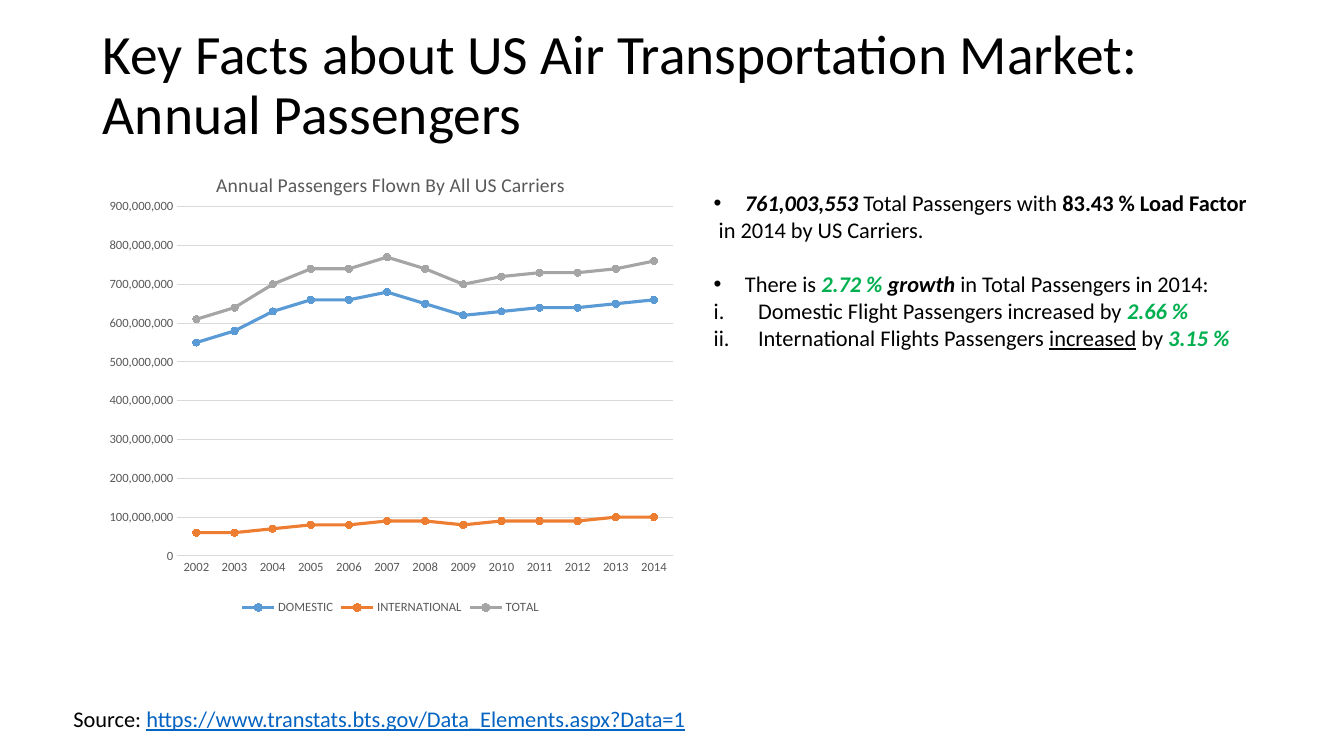
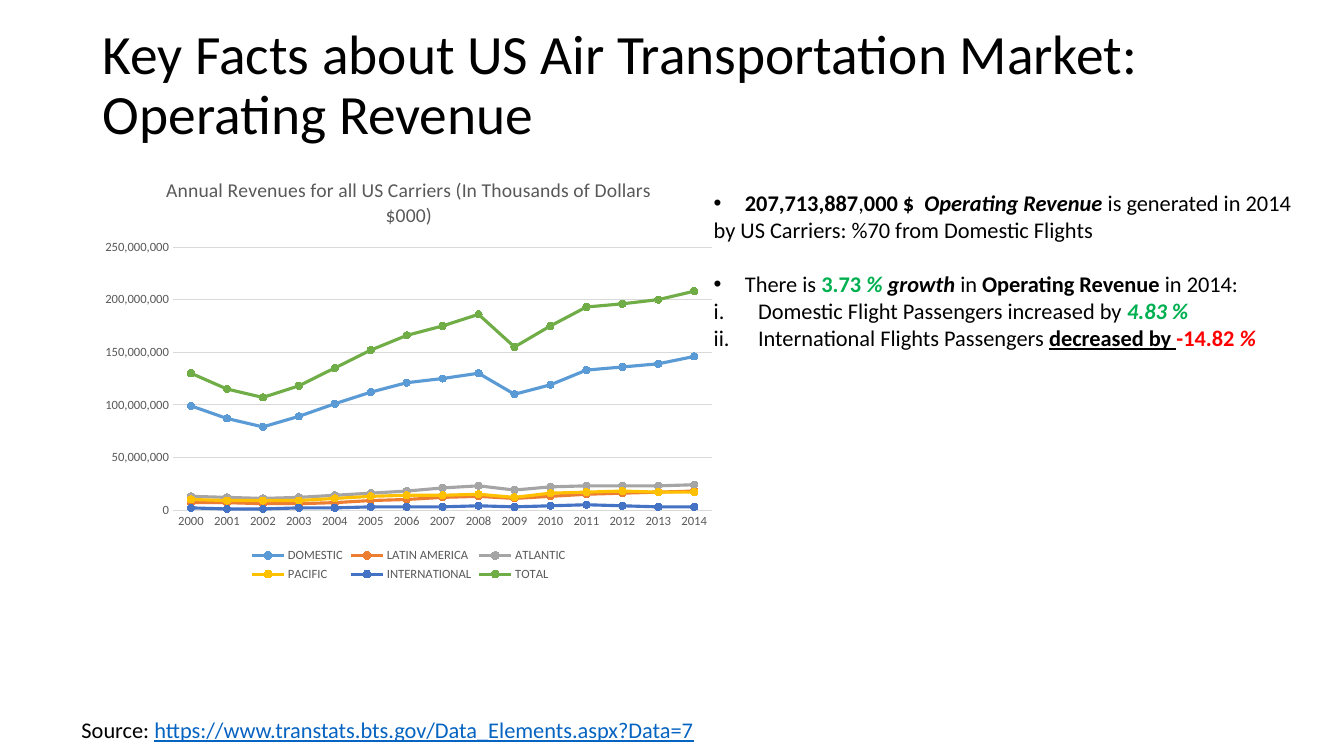
from dataclasses import dataclass

from lxml.etree import SubElement
from pptx import Presentation
from pptx.chart.data import CategoryChartData
from pptx.dml.color import RGBColor
from pptx.enum.chart import XL_CHART_TYPE, XL_LEGEND_POSITION, XL_MARKER_STYLE, XL_TICK_MARK
from pptx.enum.text import MSO_ANCHOR, MSO_AUTO_SIZE, PP_ALIGN
from pptx.oxml.ns import qn
from pptx.util import Inches, Pt

FONT = "Calibri"
BLACK = RGBColor(0x00, 0x00, 0x00)
CHART_TEXT = RGBColor(0x59, 0x59, 0x59)
GRID = RGBColor(0xD9, 0xD9, 0xD9)
LINK = RGBColor(0x05, 0x63, 0xC1)
GREEN = RGBColor(0x00, 0xB0, 0x50)
RED = RGBColor(0xFF, 0x00, 0x00)
SERIES_COLORS = {
    "DOMESTIC": RGBColor(0x5B, 0x9B, 0xD5),
    "INTERNATIONAL": RGBColor(0x44, 0x72, 0xC4),
    "LATIN AMERICA": RGBColor(0xED, 0x7D, 0x31),
    "ATLANTIC": RGBColor(0xA5, 0xA5, 0xA5),
    "PACIFIC": RGBColor(0xFF, 0xC0, 0x00),
    "TOTAL": RGBColor(0x70, 0xAD, 0x47),
}
PASSENGER_COLORS = {
    "DOMESTIC": SERIES_COLORS["DOMESTIC"],
    "INTERNATIONAL": SERIES_COLORS["LATIN AMERICA"],
    "TOTAL": SERIES_COLORS["ATLANTIC"],
}
MILLION = 1_000_000
BODY_SIZE = 16
BLANK_LINE = Pt(19.5)


@dataclass
class Run:
    text: str
    bold: bool = False
    italic: bool = False
    underline: bool = False
    color: RGBColor = BLACK


@dataclass
class Item:
    """A paragraph: marker is 'dot', 'roman' or empty; gap adds a line of space above."""
    runs: list
    marker: str = ""
    gap: bool = False


class Deck:
    def __init__(self):
        self.presentation = Presentation()
        self.presentation.slide_width = Inches(13.33)
        self.presentation.slide_height = Inches(7.5)
        self.slide = None

    def style_font(self, font, size, color):
        font.name = FONT
        font.size = Pt(size)
        font.color.rgb = color

    def add_runs(self, paragraph, runs):
        for item in runs:
            run = paragraph.add_run()
            run.text = item.text
            self.style_font(run.font, BODY_SIZE, item.color)
            run.font.bold = item.bold
            run.font.italic = item.italic
            run.font.underline = item.underline

    def add_slide(self, subject):
        self.slide = self.presentation.slides.add_slide(self.presentation.slide_layouts[5])
        title = self.slide.shapes.title
        title.left, title.top = Inches(0.92), Inches(0.4)
        title.width, title.height = Inches(11.5), Inches(0.91)
        frame = title.text_frame
        frame.auto_size = MSO_AUTO_SIZE.NONE
        frame.vertical_anchor = MSO_ANCHOR.MIDDLE
        paragraph = frame.paragraphs[0]
        paragraph.alignment = PP_ALIGN.LEFT
        paragraph.line_spacing = 0.9
        for text in ("Key Facts about US Air Transportation Market:", subject):
            if paragraph.runs:
                paragraph.add_line_break()
            run = paragraph.add_run()
            run.text = text
            self.style_font(run.font, 39.6, BLACK)

    def add_text_frame(self, left, top, width, height):
        box = self.slide.shapes.add_textbox(Inches(left), Inches(top), Inches(width), Inches(height))
        box.text_frame.word_wrap = True
        return box.text_frame

    def add_source(self, left, top, address):
        frame = self.add_text_frame(left, top, 6.35, 0.64)
        self.add_runs(frame.paragraphs[0],
                      [Run("Source: "), Run(address, underline=True, color=LINK)])

    def add_marker(self, paragraph, marker):
        hang = Inches(0.31 if marker == "dot" else 0.44)
        properties = paragraph._p.get_or_add_pPr()
        properties.set("marL", str(hang))
        properties.set("indent", str(-hang))
        if marker == "dot":
            SubElement(properties, qn("a:buFont"), typeface="Arial")
            SubElement(properties, qn("a:buChar"), char="•")
        else:
            SubElement(properties, qn("a:buFont"), typeface="+mj-lt")
            SubElement(properties, qn("a:buAutoNum"), type="romanLcPeriod")

    def add_facts(self, width, items):
        frame = self.add_text_frame(6.98, 1.83, width, 2.26)
        for index, item in enumerate(items):
            paragraph = frame.add_paragraph() if index else frame.paragraphs[0]
            if item.gap:
                paragraph.space_before = BLANK_LINE
            if item.marker:
                self.add_marker(paragraph, item.marker)
            self.add_runs(paragraph, item.runs)

    def add_line_chart(self, title, box, plot_area, years, series_values, colors):
        """Draw a marked line chart; values are in millions, plot_area in shares of the chart."""
        data = CategoryChartData(number_format="#,##0")
        data.categories = [str(year) for year in years]
        for name, values in series_values.items():
            data.add_series(name, [value * MILLION for value in values])
        chart = self.slide.shapes.add_chart(
            XL_CHART_TYPE.LINE_MARKERS, *(Inches(length) for length in box), data).chart
        self.style_font(chart.font, 10, BLACK)

        chart.has_title = True
        run = chart.chart_title.text_frame.paragraphs[0].add_run()
        run.text = title
        self.style_font(run.font, 14, CHART_TEXT)
        run.font.bold = False
        chart.chart_title.include_in_layout = False

        chart.has_legend = True
        chart.legend.position = XL_LEGEND_POSITION.BOTTOM
        chart.legend.include_in_layout = False
        self.style_font(chart.legend.font, 9, CHART_TEXT)

        for axis in (chart.category_axis, chart.value_axis):
            axis.major_tick_mark = axis.minor_tick_mark = XL_TICK_MARK.NONE
            self.style_font(axis.tick_labels.font, 9, CHART_TEXT)
        chart.value_axis.format.line.fill.background()
        chart.value_axis.tick_labels.number_format = "#,##0"
        chart.value_axis.tick_labels.number_format_is_linked = False
        for line in (chart.category_axis.format.line, chart.value_axis.major_gridlines.format.line):
            line.color.rgb = GRID
            line.width = Pt(0.75)

        chart.plots[0].vary_by_categories = False
        for series in chart.plots[0].series:
            color = colors[series.name]
            series.smooth = False
            series.format.line.color.rgb = color
            series.format.line.width = Pt(2.25)
            series.marker.style = XL_MARKER_STYLE.CIRCLE
            series.marker.size = 5
            series.marker.format.fill.solid()
            series.marker.format.fill.fore_color.rgb = color
            series.marker.format.line.color.rgb = color
        self.place_plot(chart, plot_area)

    def place_plot(self, chart, plot_area):
        area = chart._chartSpace.chart.plotArea
        for old_layout in area.findall(qn("c:layout")):
            area.remove(old_layout)
        layout = SubElement(area, qn("c:layout"))
        area.insert(0, layout)
        manual = SubElement(layout, qn("c:manualLayout"))
        settings = {"layoutTarget": "inner", "xMode": "edge", "yMode": "edge"}
        settings.update(zip("xywh", plot_area))
        for name, value in settings.items():
            SubElement(manual, qn(f"c:{name}"), val=str(value))


def add_passengers_slide(deck):
    deck.add_slide("Annual Passengers")
    deck.add_source(0.63, 6.95, "https://www.transtats.bts.gov/Data_Elements.aspx?Data=1")
    deck.add_line_chart(
        "Annual Passengers Flown By All US Carriers",
        (0.92, 1.52, 5.91, 4.62), (0.142, 0.115, 0.832, 0.75), range(2002, 2015),
        {
            "DOMESTIC": [550, 580, 630, 660, 660, 680, 650, 620, 630, 640, 640, 650, 660],
            "INTERNATIONAL": [60, 60, 70, 80, 80, 90, 90, 80, 90, 90, 90, 100, 100],
            "TOTAL": [610, 640, 700, 740, 740, 770, 740, 700, 720, 730, 730, 740, 760],
        },
        PASSENGER_COLORS)
    deck.add_facts(5.61, [
        Item([Run("761,003,553", bold=True, italic=True), Run(" Total Passengers with "),
              Run("83.43 % Load Factor", bold=True)], "dot"),
        Item([Run(" in 2014 by US Carriers.")]),
        Item([Run("There is "), Run("2.72 % ", bold=True, italic=True, color=GREEN),
              Run("growth ", bold=True, italic=True),
              Run("in Total Passengers in 2014:")], "dot", gap=True),
        Item([Run("Domestic Flight Passengers increased by "),
              Run("2.66 %", bold=True, italic=True, color=GREEN)], "roman"),
        Item([Run("International Flights Passengers "), Run("increased", underline=True),
              Run(" by "), Run("3.15 %", bold=True, italic=True, color=GREEN)], "roman"),
    ])


def add_revenue_slide(deck):
    deck.add_slide("Operating Revenue")
    deck.add_source(0.71, 7.06, "https://www.transtats.bts.gov/Data_Elements.aspx?Data=7")
    deck.add_line_chart(
        "Annual Revenues for all US Carriers (In Thousands of Dollars $000)",
        (0.92, 1.58, 6.27, 4.23), (0.127, 0.206, 0.853, 0.617), range(2000, 2015),
        {
            "DOMESTIC": [99, 87, 79, 89, 101, 112, 121, 125, 130, 110, 119, 133, 136, 139, 146],
            "LATIN AMERICA": [7, 7, 6, 6, 7, 9, 10, 12, 13, 11, 13, 15, 16, 17, 18],
            "ATLANTIC": [13, 12, 11, 12, 14, 16, 18, 21, 23, 19, 22, 23, 23, 23, 24],
            "PACIFIC": [10, 9, 9, 9, 11, 13, 14, 14, 15, 12, 16, 17, 18, 17, 17],
            "INTERNATIONAL": [2, 1, 1, 2, 2, 3, 3, 3, 4, 3, 4, 5, 4, 3, 3],
            "TOTAL": [130, 115, 107, 118, 135, 152, 166, 175, 186, 155, 175, 193, 196, 200, 208],
        },
        SERIES_COLORS)
    deck.add_facts(6.01, [
        Item([Run("207,713,887", bold=True), Run(","), Run("000 $  ", bold=True),
              Run("Operating Revenue ", bold=True, italic=True),
              Run("is generated in 2014")], "dot"),
        Item([Run("by US Carriers: %70 from Domestic Flights")]),
        Item([Run("There is "), Run("3.73 ", bold=True, color=GREEN),
              Run("% ", bold=True, italic=True, color=GREEN),
              Run("growth ", bold=True, italic=True), Run("in "),
              Run("Operating Revenue ", bold=True), Run("in 2014:")], "dot", gap=True),
        Item([Run("Domestic Flight Passengers increased by "),
              Run("4.83 %", bold=True, italic=True, color=GREEN)], "roman"),
        Item([Run("International Flights Passengers "),
              Run("decreased by ", bold=True, underline=True),
              Run("-14.82 ", bold=True, color=RED),
              Run("%", bold=True, italic=True, color=RED)], "roman"),
    ])


def main():
    deck = Deck()
    add_passengers_slide(deck)
    add_revenue_slide(deck)
    deck.presentation.save("out.pptx")


if __name__ == "__main__":
    main()
